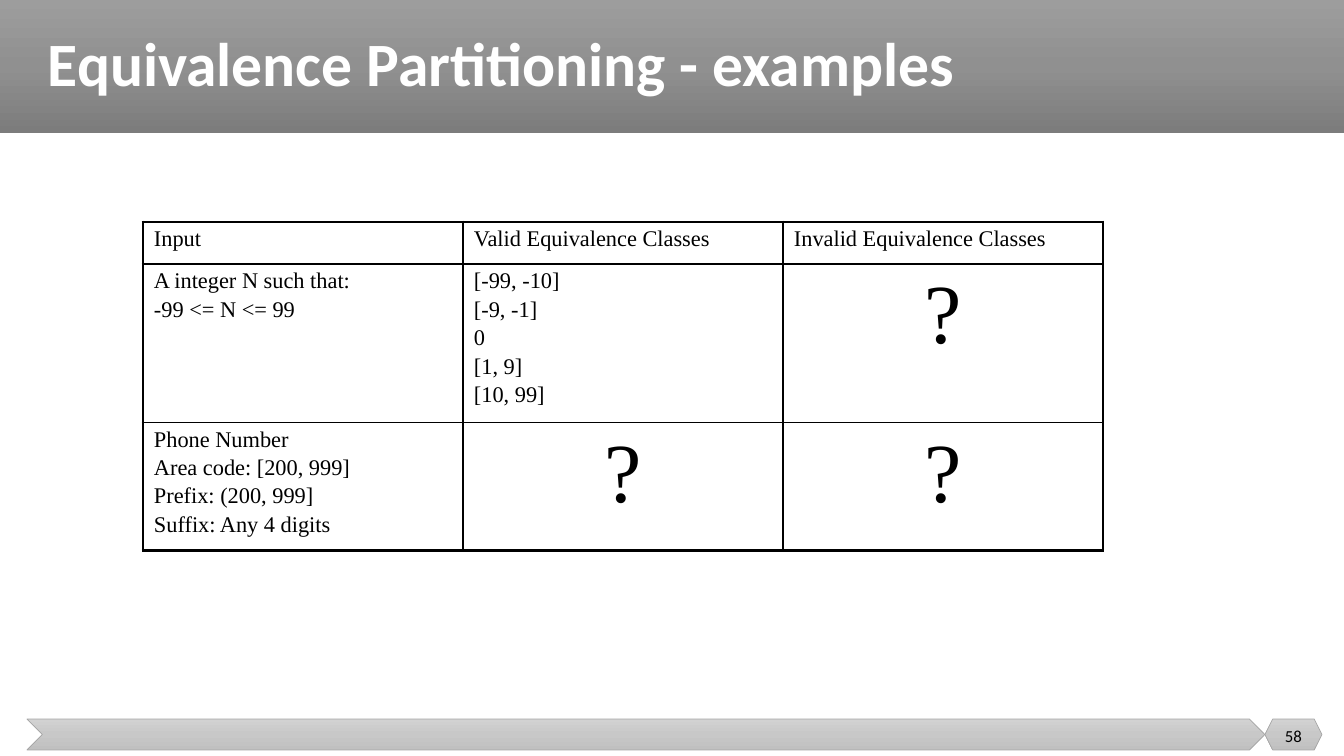
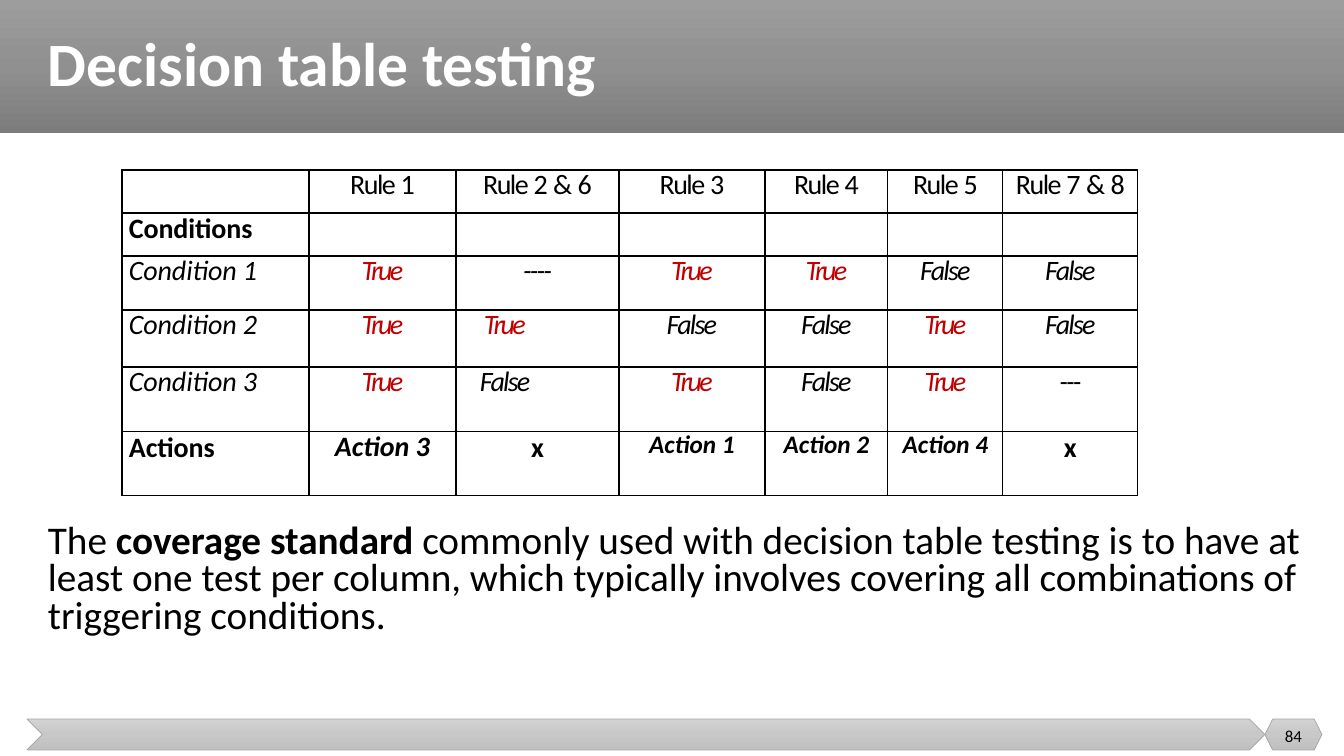
from copy import deepcopy

from pptx import Presentation
from pptx import util as u
from pptx.dml.color import RGBColor
from pptx.enum import shapes, text
from pptx.oxml import parse_xml
from pptx.oxml.ns import nsdecls, qn

PX = 914400 / 100.8
WIDTH, HEIGHT = 1344, 756
COLORS = {
    "black": "000000", "white": "FFFFFF", "red": "C00000", "edge": "A5A5A5",
    "band": ("9D9D9D", "909090", "7C7C7C"),
    "footer": ("D2D2D2", "C8C8C8", "C0C0C0"),
}
CENTER = text.PP_ALIGN.CENTER


def emu(px):
    return u.Emu(round(px * PX))


def rgb(name):
    return RGBColor.from_string(COLORS[name])


def write(frame, content, font="Calibri", size=20, color="black", bold=False,
          italic=False, spacing=0, align=text.PP_ALIGN.LEFT, leading=None,
          before=0, indent=0):
    """Fill a frame; content is text with line breaks or a list of (text, changes)."""
    frame.word_wrap = True
    if isinstance(content, str):
        lines = [[(line, {})] for line in content.split("\n")]
    else:
        lines = [content]
    base = dict(size=size, color=color, bold=bold, italic=italic, spacing=spacing)
    for number, line in enumerate(lines):
        paragraph = frame.add_paragraph() if number else frame.paragraphs[0]
        paragraph.alignment = align
        paragraph.space_before = u.Pt(before if number else 0)
        if leading:
            paragraph.line_spacing = leading
        if indent:
            paragraph._p.get_or_add_pPr().set("marL", str(emu(indent)))
        for words, changes in line:
            look = {**base, **changes}
            run = paragraph.add_run()
            run.text = words
            run.font.name = font
            run.font.size = u.Pt(look["size"])
            run.font.bold, run.font.italic = look["bold"], look["italic"]
            run.font.color.rgb = rgb(look["color"])
            if look["spacing"]:
                run._r.get_or_add_rPr().set("spc", str(round(look["spacing"] * 100)))


class Deck:
    def __init__(self):
        self.prs = Presentation()
        self.prs.slide_width, self.prs.slide_height = emu(WIDTH), emu(HEIGHT)
        self.slide = None

    def start(self, title, number):
        """Add a slide with title band and footer."""
        self.slide = self.prs.slides.add_slide(self.prs.slide_layouts[6])
        kind = shapes.MSO_SHAPE
        self.shape(kind.RECTANGLE, (0, 0, WIDTH, 133), "band")
        self.shape(kind.CHEVRON, (27, 719, 1238, 31), "footer", "edge")
        self.shape(kind.HEXAGON, (1265, 719, 57, 31), "footer", "edge")
        middle = text.MSO_ANCHOR.MIDDLE
        self.text((38, 0, 1284, 133), title, middle, size=44, color="white",
                  bold=True, leading=0.9)
        self.text((1265, 716, 57, 40), number, middle, size=12, align=CENTER)

    def shape(self, kind, box, gradient, edge=None):
        shape = self.slide.shapes.add_shape(kind, *map(emu, box))
        shape.shadow.inherit = False
        shape.fill.gradient()
        shape.fill.gradient_angle = 270
        stops = shape._element.spPr.find(".//" + qn("a:gsLst"))
        stops.append(deepcopy(stops[0]))
        for i, (stop, shade) in enumerate(zip(shape.fill.gradient_stops, COLORS[gradient])):
            stop.position = i / 2
            stop.color.rgb = RGBColor.from_string(shade)
        if edge:
            shape.line.color.rgb = rgb(edge)
            shape.line.width = u.Pt(0.5)
        else:
            shape.line.fill.background()

    def text(self, box, content, anchor=text.MSO_ANCHOR.TOP, **look):
        frame = self.slide.shapes.add_textbox(*map(emu, box)).text_frame
        frame.vertical_anchor = anchor
        write(frame, content, **look)

    def table(self, left, top, columns, rows, cells, margins=(0, 0), outer=1):
        """Draw a ruled table; each cell is None or (content, format)."""
        table = self.slide.shapes.add_table(
            len(rows), len(columns), emu(left), emu(top),
            emu(sum(columns)), emu(sum(rows))).table
        table.first_row = table.horz_banding = False
        for column, width in zip(table.columns, columns):
            column.width = emu(width)
        for row, height in zip(table.rows, rows):
            row.height = emu(height)
        for r, line in enumerate(cells):
            for c, entry in enumerate(line):
                cell = table.cell(r, c)
                cell.margin_left = cell.margin_right = emu(margins[0])
                cell.margin_top = cell.margin_bottom = emu(margins[1])
                cell.fill.background()
                on_edge = {"L": c == 0, "R": c == len(columns) - 1,
                           "T": r == 0, "B": r == len(rows) - 1}
                self.rule(cell, {side: outer if edge else 1
                                 for side, edge in on_edge.items()})
                if entry:
                    write(cell.text_frame, entry[0], **entry[1])

    def rule(self, cell, widths):
        properties = cell._tc.get_or_add_tcPr()
        for place, (side, width) in enumerate(widths.items()):
            properties.insert(place, parse_xml(
                f'<a:ln{side} {nsdecls("a")} w="{u.Pt(width)}"><a:solidFill>'
                f'<a:srgbClr val="{COLORS["black"]}"/></a:solidFill></a:ln{side}>'))


def partition_cell(content):
    look = dict(size=60, align=CENTER) if content == "?" else dict(size=16, before=2.5)
    return content, dict(look, font="Times New Roman")


def rule_heading(numbers):
    parts = [("Rule ", {"spacing": -1.1})]
    for i, number in enumerate(numbers):
        if i:
            parts.append((" & ", {"spacing": -0.7}))
        parts.append((number, {"spacing": -0.3}))
    return parts, dict(align=CENTER, leading=u.Pt(22.8))


def row_label(label):
    heading = not label.startswith("Condition ")
    return label, dict(bold=heading, italic=not heading, spacing=-0.1, indent=7,
                       leading=u.Pt(23.4 if heading else 22.8))


def outcome(value, indent=0):
    look = dict(italic=True, leading=u.Pt(22.8), spacing=-1.3)
    look.update(dict(indent=indent) if indent else dict(align=CENTER))
    if value == "True":
        look.update(color="red", spacing=-1.9)
    return value, look


def action(value, size=20, leading=22.8):
    return value, dict(size=size, leading=u.Pt(leading), bold=True,
                       italic=value != "x", align=CENTER)


def equivalence_slide(deck):
    deck.start("Equivalence Partitioning - examples", "58")
    partitions = [
        ["Input", "Valid Equivalence Classes", "Invalid Equivalence Classes"],
        ["A integer N such that:\n-99 <= N <= 99",
         "[-99, -10]\n[-9, -1]\n0\n[1, 9]\n[10, 99]", "?"],
        ["Phone Number\nArea code: [200, 999]\nPrefix: (200, 999]\nSuffix: Any 4 digits",
         "?", "?"],
    ]
    deck.table(143, 222, [320] * 3, [42, 152, 128],
               [[partition_cell(entry) for entry in row] for row in partitions],
               margins=(11, 5), outer=2.25)


def decision_slide(deck):
    deck.start("Decision table testing", "84")
    deck.text((38, 519, 1284, 160), [
        ("The ", {}), ("coverage standard ", {"bold": True}),
        ("commonly used with decision table testing is to have at least one test "
         "per column, which typically involves covering all combinations of "
         "triggering conditions.", {})], size=28, leading=0.8)

    # Rules across, conditions and actions down
    conditions = [
        ["True", "----", "True", "True", "False", "False"],
        ["True", "True", "False", "False", "True", "False"],
        ["True", "False", "True", "False", "True", "---"],
    ]
    indents = {(2, 1): 28, (3, 1): 24}
    cells = [[None] + [rule_heading(n) for n in ("1", "26", "3", "4", "5", "78")],
             [row_label("Conditions")] + [None] * 6]
    for number, values in enumerate(conditions, 1):
        cells.append([row_label(f"Condition {number}")] + [
            outcome(value, indents.get((number, i), 0)) for i, value in enumerate(values)])
    ignored = action("x", leading=23.5)
    small = [action(f"Action {n}", 18, 20.5) for n in (1, 2, 4)]
    cells.append([row_label("Actions"), action("Action 3"), ignored, *small, ignored])
    deck.table(122, 170, [187, 147, 163, 146, 123, 115, 135],
               [43, 43, 54, 57, 65, 64], cells)


def main():
    deck = Deck()
    equivalence_slide(deck)
    decision_slide(deck)
    deck.prs.save("out.pptx")


if __name__ == "__main__":
    main()
